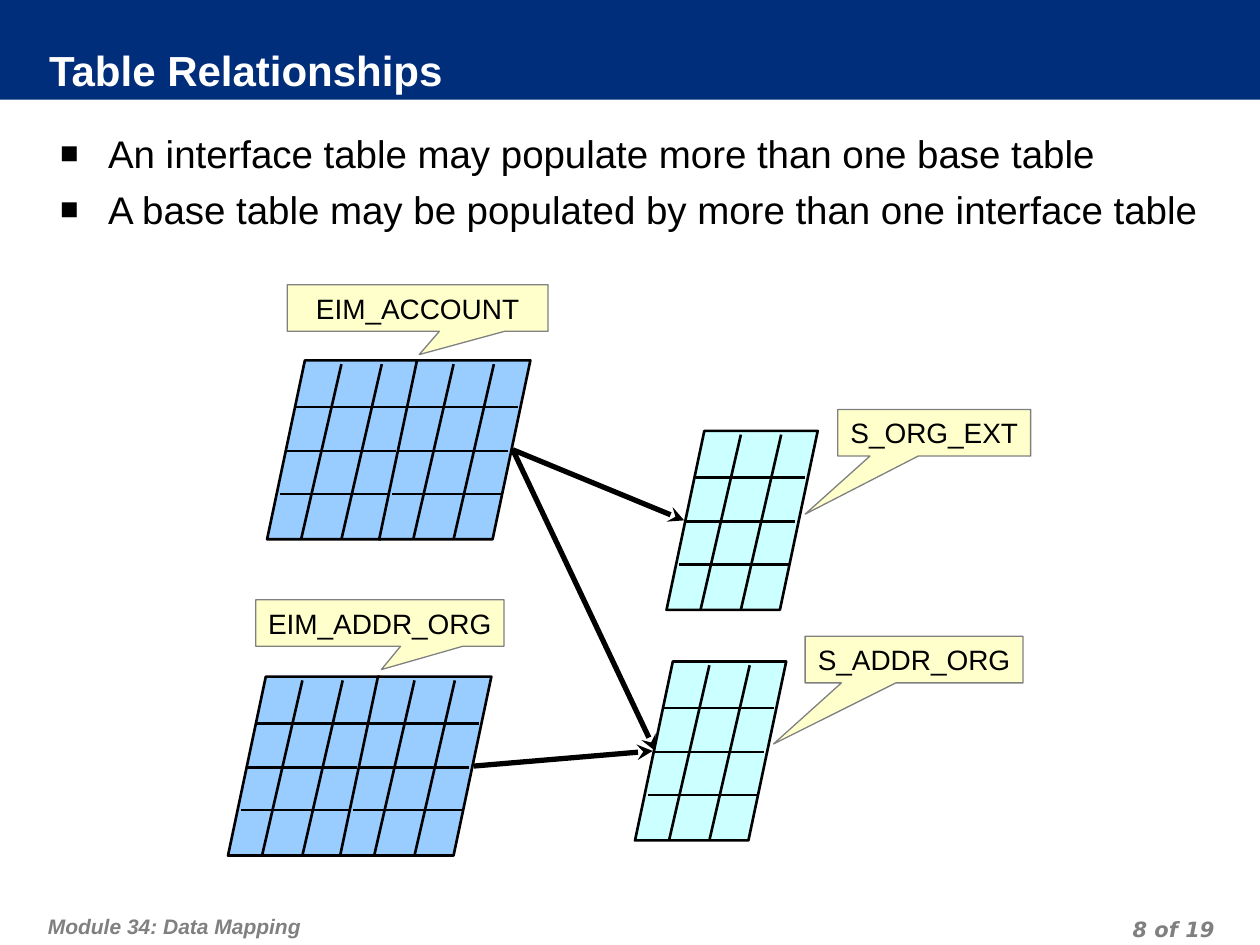
from dataclasses import dataclass

from lxml.etree import SubElement
from pptx import Presentation
from pptx.dml.color import RGBColor
from pptx.enum.shapes import MSO_CONNECTOR, MSO_SHAPE
from pptx.enum.text import MSO_ANCHOR, PP_ALIGN
from pptx.oxml.ns import qn
from pptx.util import Inches, Pt


@dataclass(frozen=True)
class Theme:
    navy: str = "002E7A"
    white: str = "FFFFFF"
    black: str = "000000"
    gray: str = "808080"
    interface: str = "99CCFF"
    base: str = "CCFFFF"
    callout: str = "FFFFCC"
    font: str = "Arial"
    number_font: str = "DejaVu Sans"
    title_size: int = 24
    body_size: int = 22
    label_size: int = 16
    footer_size: int = 12


THEME = Theme()

# Content
TITLE = "Table Relationships"
BULLETS = [
    "An interface table may populate more than one base table",
    "A base table may be populated by more than one interface table",
]
FOOTER = "Module 34: Data Mapping"
PAGE = "8 of 19"

# Tables: left, top, number of panels, fill
TABLES = [
    (5.29, 3.42, 1, THEME.base),
    (5.04, 5.25, 1, THEME.base),
    (1.81, 5.37, 2, THEME.interface),
    (2.12, 2.86, 2, THEME.interface),
]
# Callouts: name, left, top, width, pointer adjustments
CALLOUTS = [
    ("EIM_ADDR_ORG", 2.03, 4.76, 1.97, (0.006, 0.999)),
    ("S_ORG_EXT", 6.65, 3.25, 1.53, (-0.67, 1.746)),
    ("S_ADDR_ORG", 6.39, 5.05, 1.73, (-0.645, 1.811)),
    ("EIM_ACCOUNT", 2.28, 2.26, 2.07, (0.006, 0.999)),
]
# Relationships: start point, end point
ARROWS = [
    ((4.07, 3.57), (5.43, 4.13)),
    ((4.07, 3.57), (5.2, 5.96)),
    ((3.76, 6.08), (5.18, 5.96)),
]

# Panel geometry, relative to the panel's top left corner
PANEL_WIDTH, PANEL_HEIGHT, PANEL_STEP = 1.2, 1.42, 0.89
COLUMN_TOPS = (0.59, 0.91)
COLUMN_SLANT = 0.32
ROW_STARTS = ((0.23, 0.37), (0.15, 0.72), (0.1, 1.06))
ROW_LENGTH = 0.87

presentation = Presentation()
presentation.slide_width, presentation.slide_height = Inches(10), Inches(7.5)
slide = presentation.slides.add_slide(presentation.slide_layouts[6])


def color(value):
    return RGBColor.from_string(value)


def add_box(kind, left, top, width, height, fill, line=None, line_width=1.5):
    shape = slide.shapes.add_shape(
        kind, Inches(left), Inches(top), Inches(width), Inches(height))
    shape.shadow.inherit = False
    shape.fill.solid()
    shape.fill.fore_color.rgb = color(fill)
    if line:
        shape.line.color.rgb = color(line)
        shape.line.width = Pt(line_width)
    else:
        shape.line.fill.background()
    return shape


def add_text_box(left, top, width, height):
    return slide.shapes.add_textbox(
        Inches(left), Inches(top), Inches(width), Inches(height))


def write_text(shape, lines, *, size, fill=THEME.black, font=THEME.font,
               bold=False, italic=False, align=PP_ALIGN.LEFT,
               anchor=MSO_ANCHOR.TOP, insets=(0.1, 0.05, 0.1, 0.05),
               wrap=True, before=0, line_spacing=None, bullet=None):
    frame = shape.text_frame
    frame.word_wrap = wrap
    frame.vertical_anchor = anchor
    (frame.margin_left, frame.margin_top,
     frame.margin_right, frame.margin_bottom) = map(Inches, insets)
    for index, line in enumerate(lines):
        paragraph = frame.add_paragraph() if index else frame.paragraphs[0]
        paragraph.alignment = align
        paragraph.space_before = Pt(before)
        if line_spacing:
            paragraph.line_spacing = Pt(line_spacing)
        run = paragraph.add_run()
        run.text = line
        run.font.size, run.font.name = Pt(size), font
        run.font.bold, run.font.italic = bold, italic
        run.font.color.rgb = color(fill)
        if bullet:
            add_bullet(paragraph, bullet, fill)


def add_bullet(paragraph, character, fill):
    properties = paragraph._p.get_or_add_pPr()
    properties.set("marL", str(Inches(0.38)))
    properties.set("indent", str(-Inches(0.38)))
    bullet_color = SubElement(properties, qn("a:buClr"))
    SubElement(bullet_color, qn("a:srgbClr"), val=fill)
    SubElement(properties, qn("a:buSzPct"), val="80000")
    SubElement(properties, qn("a:buFont"), typeface=THEME.font)
    SubElement(properties, qn("a:buChar"), char=character)


def add_line(start, end, width=1.5, arrow=False):
    connector = slide.shapes.add_connector(
        MSO_CONNECTOR.STRAIGHT, *map(Inches, (*start, *end)))
    connector.line.color.rgb = color(THEME.black)
    connector.line.width = Pt(width)
    if arrow:
        SubElement(connector.line._get_or_add_ln(), qn("a:tailEnd"), type="stealth")
    SubElement(connector._element.spPr, qn("a:effectLst"))


def add_panel(left, top, fill):
    panel = add_box(MSO_SHAPE.PARALLELOGRAM, left, top,
                    PANEL_WIDTH, PANEL_HEIGHT, fill, THEME.black)
    panel.adjustments[0] = 0.25
    for x in COLUMN_TOPS:
        add_line((left + x, top + 0.03),
                 (left + x - COLUMN_SLANT, top + PANEL_HEIGHT))
    for x, y in ROW_STARTS:
        add_line((left + x, top + y), (left + x + ROW_LENGTH, top + y))


# Header band and title
add_box(MSO_SHAPE.RECTANGLE, 0, 0, 10, 0.79, THEME.navy)
title = add_box(MSO_SHAPE.RECTANGLE, 0.39, 0.38, 9.17, 0.4, THEME.navy)
write_text(title, [TITLE], size=THEME.title_size, fill=THEME.white, bold=True,
           anchor=MSO_ANCHOR.MIDDLE, insets=(0, 0, 0.05, 0.05))

# Footer
footer_format = dict(size=THEME.footer_size, fill=THEME.gray, bold=True,
                     italic=True, before=6, line_spacing=18)
write_text(add_text_box(0.33, 7.1, 6.18, 0.4), [FOOTER],
           insets=(0.05, 0.1, 0.05, 0.05), **footer_format)
write_text(add_text_box(7.36, 7.22, 2.33, 0.25), [PAGE], font=THEME.number_font,
           align=PP_ALIGN.RIGHT, insets=(0.05, 0, 0.05, 0), **footer_format)

# Bullets
write_text(add_text_box(0.38, 0.93, 9.3, 6.18), BULLETS, size=THEME.body_size,
           insets=(0.1, 0.1, 0.1, 0.05), before=5.5, bullet="■")

# Tables
for left, top, panels, fill in TABLES:
    for index in range(panels):
        add_panel(left + index * PANEL_STEP, top, fill)

# Callouts
for name, left, top, width, pointer in CALLOUTS:
    callout = add_box(MSO_SHAPE.RECTANGULAR_CALLOUT, left, top, width, 0.37,
                      THEME.callout, THEME.gray, 0.75)
    callout.adjustments[0], callout.adjustments[1] = pointer
    write_text(callout, [name], size=THEME.label_size, align=PP_ALIGN.CENTER,
               anchor=MSO_ANCHOR.MIDDLE, wrap=False)

# Relationship arrows
for start, end in ARROWS:
    add_line(start, end, width=3, arrow=True)

presentation.save("out.pptx")
